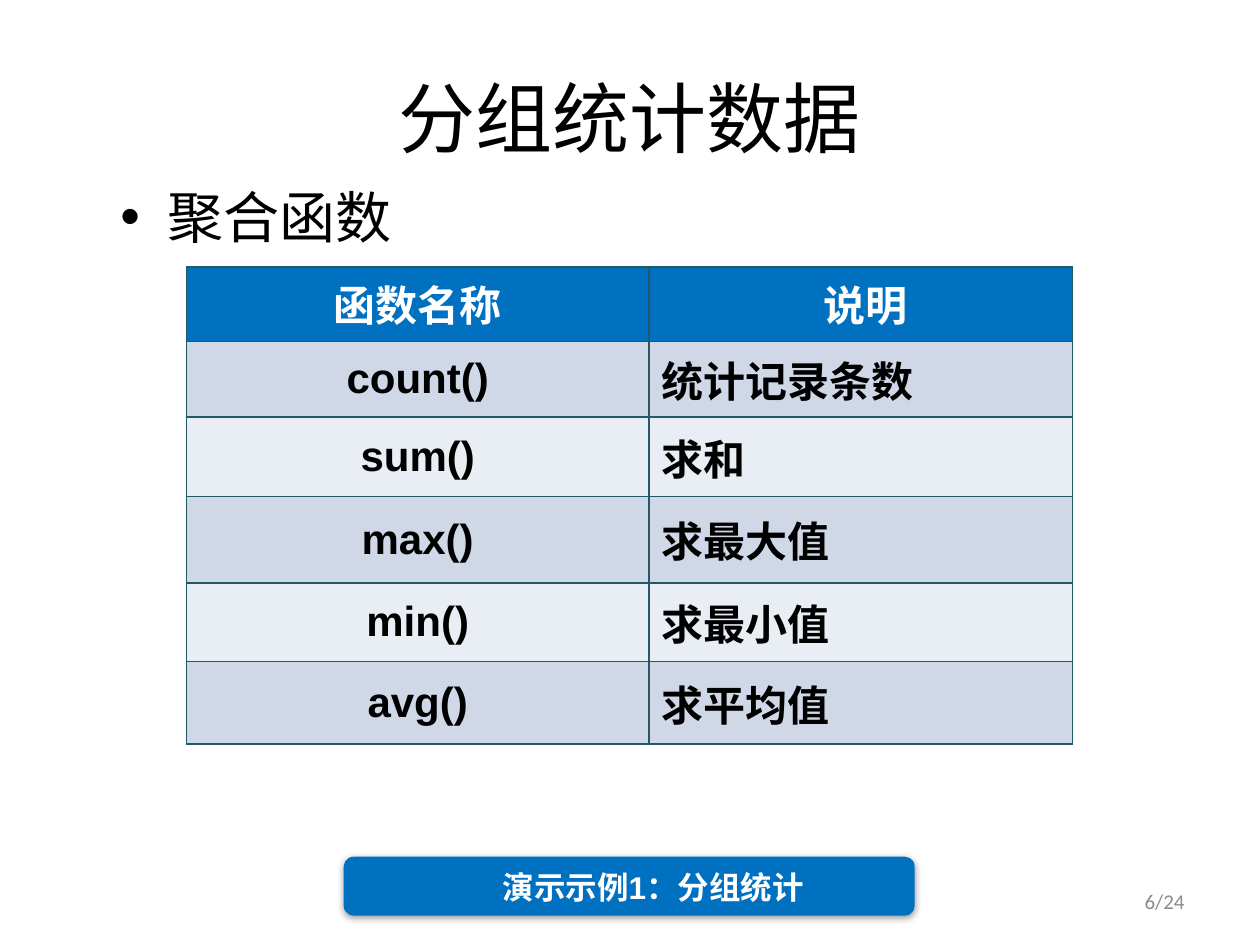
import pptx
import pptx.util
import pptx.dml.color
import pptx.enum.shapes
import pptx.enum.text
import pptx.oxml
import lxml.etree

Cm, Pt = pptx.util.Cm, pptx.util.Pt
RGBColor = pptx.dml.color.RGBColor
Align = pptx.enum.text.PP_ALIGN
Anchor = pptx.enum.text.MSO_ANCHOR
qn = pptx.oxml.ns.qn

BLUE = RGBColor(0x00, 0x70, 0xC0)
BAND_DARK = RGBColor(0xD0, 0xD8, 0xE8)
BAND_LIGHT = RGBColor(0xE9, 0xED, 0xF4)
BLACK = RGBColor(0, 0, 0)
WHITE = RGBColor(0xFF, 0xFF, 0xFF)
GRAY = RGBColor(0x8C, 0x8C, 0x8C)
NAMESPACE = 'xmlns:a="http://schemas.openxmlformats.org/drawingml/2006/main"'
BORDER = ('<a:{side} {ns} w="12700"><a:solidFill><a:srgbClr val="215968"/>'
          '</a:solidFill></a:{side}>')
SHADOW = ('<a:effectLst {ns}><a:outerShdw blurRad="50800" dist="12700" dir="5400000" '
          'algn="t" rotWithShape="0"><a:srgbClr val="262626"><a:alpha val="43000"/>'
          '</a:srgbClr></a:outerShdw></a:effectLst>')


def write(frame, text, align, anchor=Anchor.TOP, **font_values):
    """Fill a text frame with one formatted paragraph."""
    frame.word_wrap = True
    frame.vertical_anchor = anchor
    paragraph = frame.paragraphs[0]
    paragraph.alignment = align
    run = paragraph.add_run()
    run.text = text
    color = font_values.pop("color")
    for name, value in font_values.items():
        setattr(run.font, name, value)
    run.font.color.rgb = color
    east_asian = lxml.etree.SubElement(run.font._element, qn("a:ea"))
    east_asian.set("typeface", "Noto Sans CJK SC")
    return paragraph


presentation = pptx.Presentation()
presentation.slide_width, presentation.slide_height = Cm(25.4), Cm(19.05)
slide = presentation.slides.add_slide(presentation.slide_layouts[5])

# Title
title = slide.shapes.title
title.left, title.top, title.width, title.height = Cm(1.27), Cm(0.76), Cm(22.86), Cm(3.18)
write(title.text_frame, "分组统计数据", Align.CENTER, Anchor.MIDDLE,
      size=Pt(44), name="Calibri", color=BLACK)

# Bullet
topic = slide.shapes.add_textbox(Cm(2.18), Cm(3.56), Cm(21.23), Cm(1.63))
paragraph = write(topic.text_frame, "聚合函数", Align.LEFT,
                  size=Pt(32), name="Calibri", color=BLACK)
paragraph.space_before = Pt(6.4)
properties = paragraph._p.get_or_add_pPr()
properties.set("marL", str(Cm(0.95)))
properties.set("indent", str(-Cm(0.95)))
lxml.etree.SubElement(properties, qn("a:buFont")).set("typeface", "Arial")
lxml.etree.SubElement(properties, qn("a:buChar")).set("char", "•")

# Page number
page_number = slide.shapes.add_textbox(Cm(18.21), Cm(17.65), Cm(5.92), Cm(1.02))
write(page_number.text_frame, "6/24", Align.RIGHT, Anchor.MIDDLE,
      size=Pt(12), name="Calibri", color=GRAY)

# Function table
rows = [("函数名称", " 说明"), ("count()", "统计记录条数"), ("sum()", "求和"),
        ("max()", "求最大值"), ("min()", "求最小值"), ("avg()", "求平均值")]
row_heights = [1.5, 1.53, 1.6, 1.74, 1.59, 1.66]
table = slide.shapes.add_table(len(rows), 2, Cm(3.76), Cm(5.38), Cm(17.86),
                               Cm(sum(row_heights))).table
for column, width in zip(table.columns, (9.32, 8.54)):
    column.width = Cm(width)
for row_index, texts in enumerate(rows):
    table.rows[row_index].height = Cm(row_heights[row_index])
    header = row_index == 0
    for column_index, text in enumerate(texts):
        cell = table.cell(row_index, column_index)
        centered = header or column_index == 0
        paragraph = write(cell.text_frame, text, Align.CENTER if centered else Align.LEFT,
                          size=Pt(24), name="Arial", bold=True,
                          color=WHITE if header else BLACK)
        paragraph.space_before = Pt(4.8)
        cell.vertical_anchor = Anchor.TOP if header else Anchor.MIDDLE
        cell_properties = cell._tc.get_or_add_tcPr()
        for side in ("lnL", "lnR", "lnT", "lnB"):
            cell_properties.append(pptx.oxml.parse_xml(BORDER.format(side=side, ns=NAMESPACE)))
        cell.fill.solid()
        cell.fill.fore_color.rgb = BLUE if header else (BAND_LIGHT, BAND_DARK)[row_index % 2]

# Demo banner
banner = slide.shapes.add_group_shape()
plate = banner.shapes.add_shape(
    pptx.enum.shapes.MSO_SHAPE.FLOWCHART_ALTERNATE_PROCESS,
    Cm(6.93), Cm(17.27), Cm(11.51), Cm(1.19))
plate.fill.solid()
plate.fill.fore_color.rgb = BLUE
plate.line.fill.background()
plate._element.spPr.append(pptx.oxml.parse_xml(SHADOW.format(ns=NAMESPACE)))
caption = banner.shapes.add_textbox(Cm(8.43), Cm(17.37), Cm(9.47), Cm(1.02))
write(caption.text_frame, "演示示例1：分组统计", Align.CENTER,
      size=Pt(18), name="Arial", bold=True, color=WHITE)

presentation.save("out.pptx")
